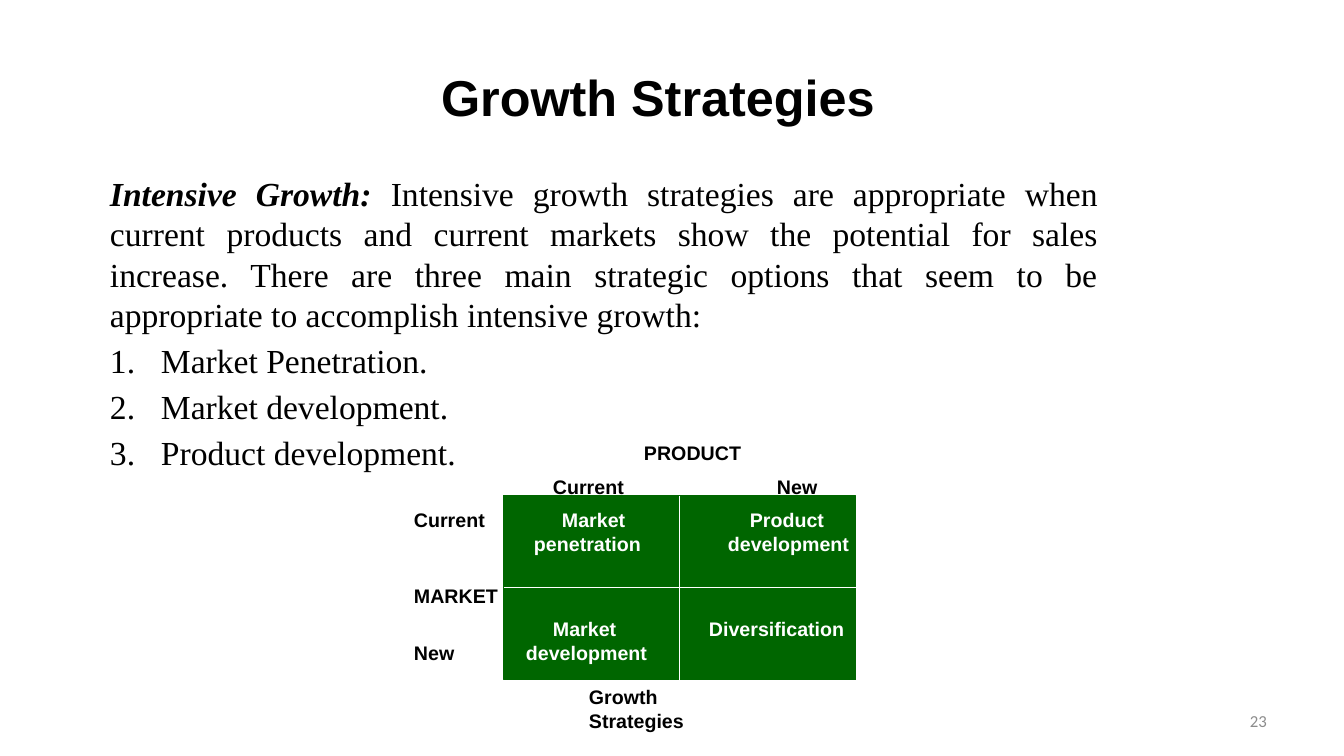
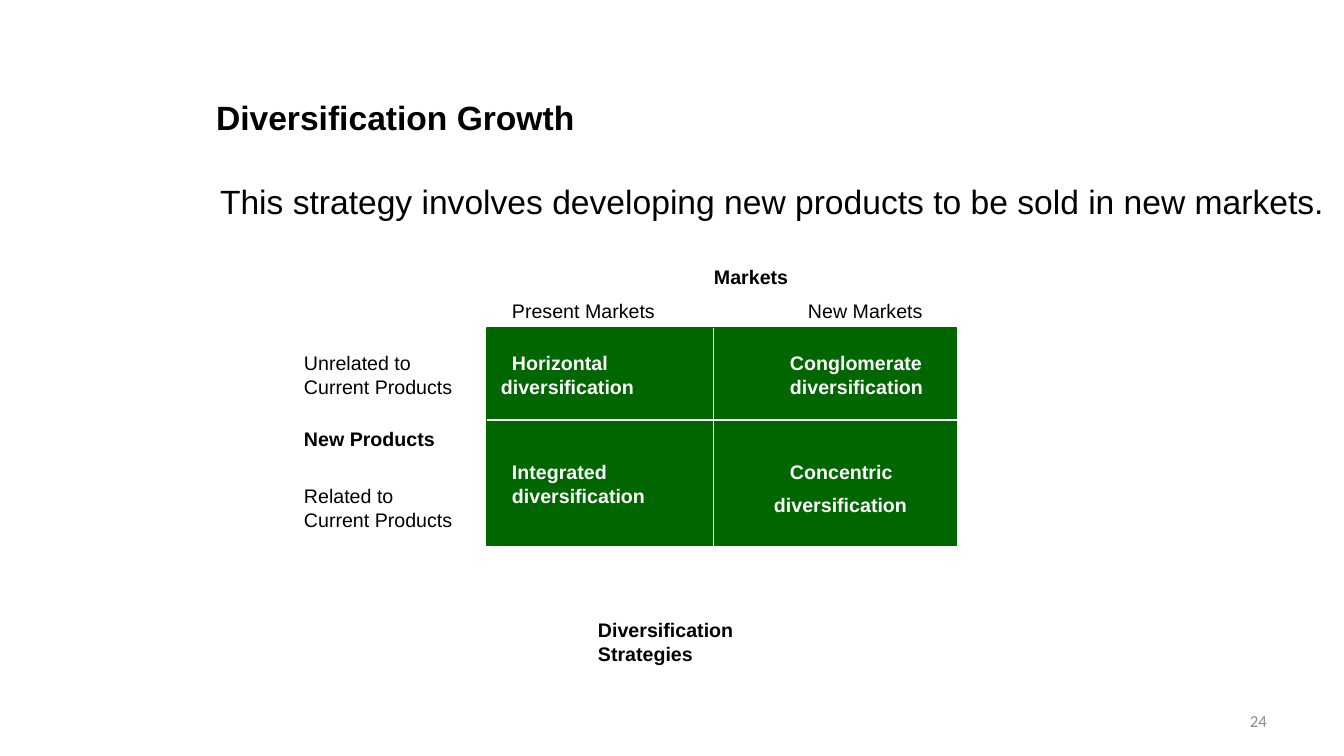
"""Build two slides on growth and diversification strategies."""
from pptx import Presentation
from pptx.dml.color import RGBColor
from pptx.enum.shapes import MSO_CONNECTOR, MSO_SHAPE
from pptx.enum.text import MSO_ANCHOR, PP_ALIGN
from pptx.oxml.ns import qn
from pptx.util import Emu, Pt

STRAIGHT = MSO_CONNECTOR.STRAIGHT
RECTANGLE = MSO_SHAPE.RECTANGLE
MIDDLE = MSO_ANCHOR.MIDDLE
TOP = MSO_ANCHOR.TOP
LEFT, RIGHT, JUSTIFY = PP_ALIGN.LEFT, PP_ALIGN.RIGHT, PP_ALIGN.JUSTIFY

PX = 12192000 / 1344
SLIDE_SIZE = (1344, 756)

THEME = {
    "ink": "000000",
    "green": "006600",
    "white": "FFFFFF",
    "line_width": 0.75,
    "list_indent": 51,
    "title": {"name": "Arial", "size": 36, "bold": True, "color": "000000"},
    "heading": {"name": "Arial", "size": 24, "bold": True, "color": "000000"},
    "lead": {"name": "Arial", "size": 24, "color": "000000"},
    "body": {"name": "Times New Roman", "size": 24, "color": "000000"},
    "term": {"name": "Times New Roman", "size": 24, "bold": True, "italic": True, "color": "000000"},
    "strong": {"name": "Arial", "size": 14, "bold": True, "color": "000000"},
    "plain": {"name": "Arial", "size": 14, "color": "000000"},
    "cell": {"name": "Arial", "size": 14, "bold": True, "color": "FFFFFF"},
    "number": {"name": "Calibri", "size": 12, "color": "8C8C8C"},
}

NUMBER_BOX = (964, 701, 303, 40)
LABEL_WIDTH, LABEL_LINE = 170, 24

INTENSIVE_BOX = (110, 173, 988, 302)
INTENSIVE_TEXT = [
    ("term", "Intensive Growth: "),
    ("body", "Intensive growth strategies are appropriate when current products and current "
             "markets show the potential for sales increase. There are three main strategic "
             "options that seem to be appropriate to accomplish intensive growth:"),
]
INTENSIVE_OPTIONS = ["Market Penetration.", "Market development.", "Product development."]

SLIDES = [
    {
        "number": "23",
        "headings": [("title", "Growth Strategies", (441, 66, 480, 60))],
        "matrix": {"box": (504, 496, 352, 184), "cross": (680, 588)},
        "labels": [
            {"style": "strong", "at": (644, 441), "lines": ["PRODUCT"]},
            {"style": "strong", "at": (553, 475), "lines": ["Current"]},
            {"style": "strong", "at": (777, 475), "lines": ["New"]},
            {"style": "strong", "at": (414, 508), "lines": ["Current"]},
            {"style": "strong", "at": (414, 584), "lines": ["MARKET"]},
            {"style": "strong", "at": (414, 641), "lines": ["New"]},
            {"style": "cell", "at": (534, 508), "lines": ["Market", "penetration"], "indent": 28},
            {"style": "cell", "at": (728, 508), "lines": ["Product", "development"], "indent": 22},
            {"style": "cell", "at": (526, 617), "lines": ["Market", "development"], "indent": 27},
            {"style": "cell", "at": (709, 617), "lines": ["Diversification"]},
            {"style": "strong", "at": (589, 685), "lines": ["Growth", "Strategies"]},
        ],
    },
    {
        "number": "24",
        "headings": [
            ("heading", "Diversification Growth", (216, 97, 420, 42)),
            ("lead", "This strategy involves developing new products to be sold in new markets.",
             (220, 181, 1124, 42)),
        ],
        "matrix": {"box": (487, 328, 470, 218), "cross": (714, 420)},
        "labels": [
            {"style": "strong", "at": (714, 265), "lines": ["Markets"]},
            {"style": "plain", "at": (512, 299), "lines": ["Present Markets"]},
            {"style": "plain", "at": (808, 299), "lines": ["New Markets"]},
            {"style": "plain", "at": (304, 351), "lines": ["Unrelated to", "Current Products"]},
            {"style": "strong", "at": (304, 427), "lines": ["New Products"]},
            {"style": "plain", "at": (304, 484), "lines": ["Related to", "Current Products"]},
            {"style": "cell", "at": (501, 351), "lines": ["Horizontal", "diversification"], "indent": 11},
            {"style": "cell", "at": (790, 351), "lines": ["Conglomerate", "diversification"]},
            {"style": "cell", "at": (512, 460), "lines": ["Integrated", "diversification"]},
            {"style": "cell", "at": (774, 460), "lines": ["Concentric", "diversification"],
             "indent": 16, "gap": 7},
            {"style": "strong", "at": (598, 618), "lines": ["Diversification", "Strategies"]},
        ],
    },
]


def px(*lengths):
    """Turn pixel lengths into EMU."""
    return [Emu(round(length * PX)) for length in lengths]


def add_span(para, text, style):
    """Add a run of text in a theme style."""
    span = para.add_run()
    span.text = text
    formats = dict(THEME[style])
    span.font.color.rgb = RGBColor.from_string(formats.pop("color"))
    formats["size"] = Pt(formats["size"])
    for name, value in formats.items():
        setattr(span.font, name, value)


def set_indent(para, margin, first):
    """Set the left margin and first-line indent of a paragraph."""
    properties = para._p.get_or_add_pPr()
    for name, value in zip(("marL", "indent"), px(margin, first)):
        properties.set(name, str(value))
    return properties


def add_paragraphs(page, box, paragraphs, align=LEFT, anchor=TOP, gap=0):
    """Add a text box whose paragraphs are lists of (style, text)."""
    frame = page.shapes.add_textbox(*px(*box)).text_frame
    formats = {"word_wrap": True, "vertical_anchor": anchor, "margin_left": 0,
               "margin_right": 0, "margin_top": 0, "margin_bottom": 0}
    for name, value in formats.items():
        setattr(frame, name, value)
    for index, spans in enumerate(paragraphs):
        para = frame.add_paragraph() if index else frame.paragraphs[0]
        para.alignment = align
        para.space_before = Pt(gap if index else 0)
        for style, text in spans:
            add_span(para, text, style)
    return frame.paragraphs


def add_label(page, label):
    """Add one label of the matrix."""
    lines = label["lines"]
    box = (*label["at"], LABEL_WIDTH, LABEL_LINE * len(lines))
    paras = add_paragraphs(page, box, [[(label["style"], line)] for line in lines],
                           gap=label.get("gap", 0))
    set_indent(paras[0], 0, label.get("indent", 0))


def add_matrix(page, box, cross):
    """Add the green matrix with its two dividing lines."""
    left, top, width, height = box
    across, down = cross
    panel = page.shapes.add_shape(RECTANGLE, *px(*box))
    panel.shadow.inherit = False
    panel.fill.solid()
    panel.fill.fore_color.rgb = RGBColor.from_string(THEME["green"])
    panel.line.color.rgb = RGBColor.from_string(THEME["green"])
    panel.line.width = Pt(THEME["line_width"])
    dividers = [
        ((across, top, across, top + height), (0, 2), across == left + width / 2),
        ((left, down, left + width, down), (1, 3), down == top + height / 2),
    ]
    for ends, (start, finish), centred in dividers:
        divider = page.shapes.add_connector(STRAIGHT, *px(*ends))
        divider.line.color.rgb = RGBColor.from_string(THEME["white"])
        divider.line.width = Pt(THEME["line_width"])
        properties = divider._element.spPr
        properties.append(properties.makeelement(qn("a:effectLst"), {}))
        if centred:
            divider.begin_connect(panel, start)
            divider.end_connect(panel, finish)


def add_intensive_growth(page):
    """Add the justified text and its numbered options."""
    paragraphs = [INTENSIVE_TEXT] + [[("body", option)] for option in INTENSIVE_OPTIONS]
    paras = add_paragraphs(page, INTENSIVE_BOX, paragraphs, JUSTIFY, gap=4)
    for para in paras[1:]:
        properties = set_indent(para, THEME["list_indent"], -THEME["list_indent"])
        properties.append(properties.makeelement(qn("a:buAutoNum"), {"type": "arabicPeriod"}))


def add_page(deck, content):
    """Add a slide with headings, matrix, labels and page number."""
    page = deck.slides.add_slide(deck.slide_layouts[6])
    for style, text, box in content["headings"]:
        add_paragraphs(page, box, [[(style, text)]])
    add_matrix(page, **content["matrix"])
    for label in content["labels"]:
        add_label(page, label)
    add_paragraphs(page, NUMBER_BOX, [[("number", content["number"])]], RIGHT, MIDDLE)
    return page


def main():
    """Build and save the deck."""
    deck = Presentation()
    deck.slide_width, deck.slide_height = px(*SLIDE_SIZE)
    growth, _ = [add_page(deck, content) for content in SLIDES]
    add_intensive_growth(growth)
    deck.save("out.pptx")


if __name__ == "__main__":
    main()
